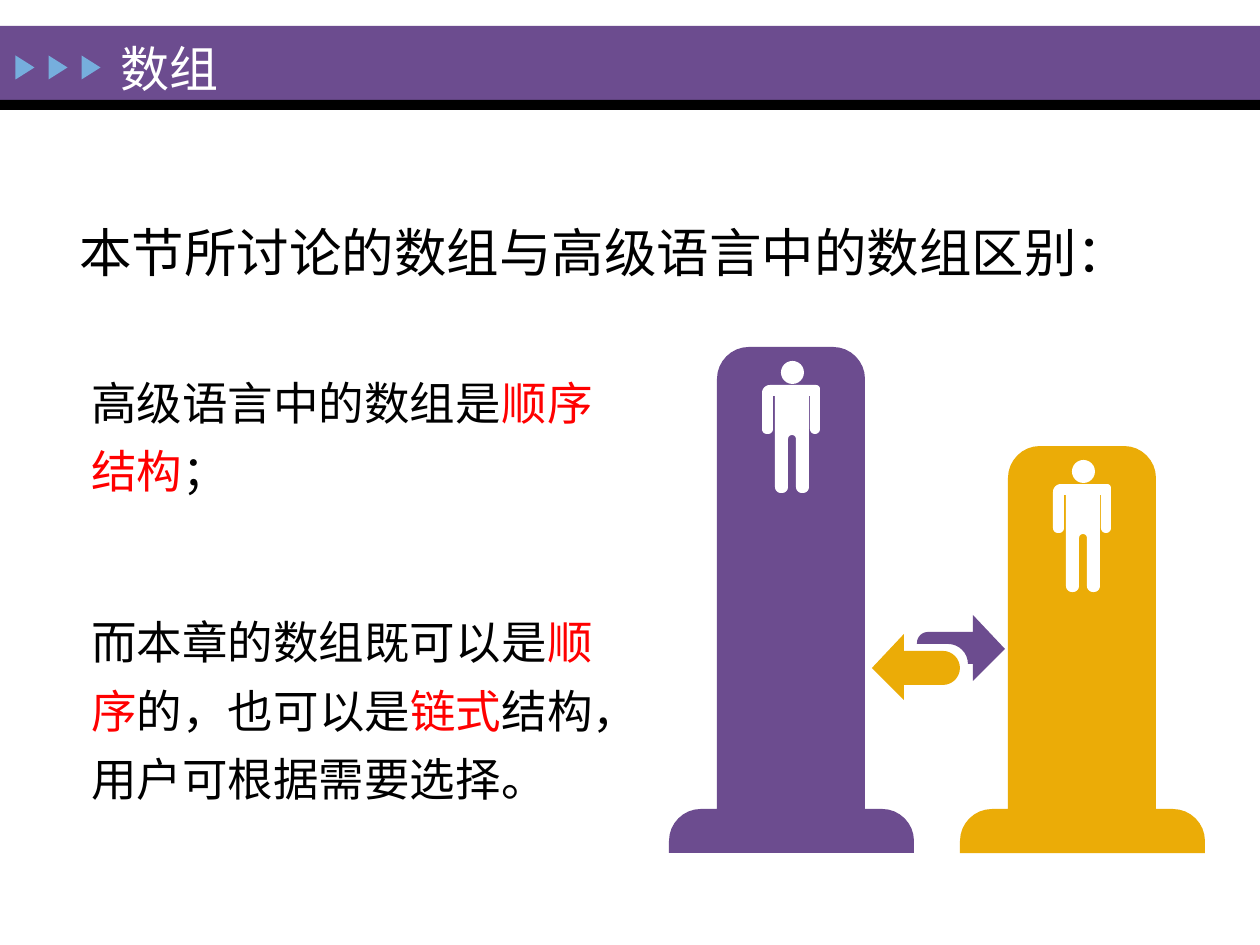
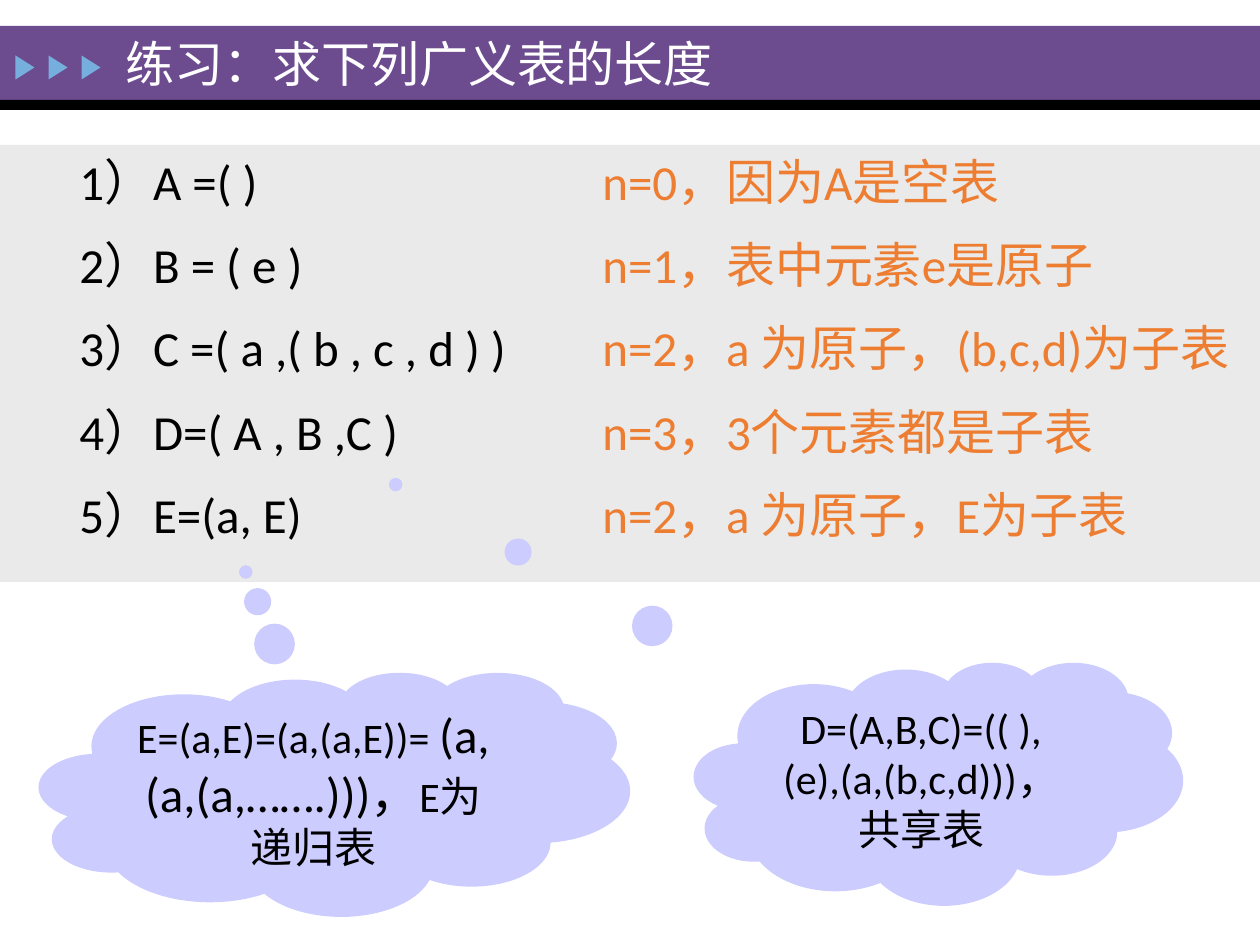
from pptx import Presentation
from pptx import util as u
from pptx.dml.color import RGBColor
from pptx.enum import shapes, text

EMU_PER_PX = 914400 / 126
PURPLE = RGBColor(0x6C, 0x4C, 0x8F)
GOLD = RGBColor(0xEB, 0xAC, 0x07)
BLUE = RGBColor(0x76, 0xAE, 0xDD)
LILAC = RGBColor(0xCC, 0xCC, 0xFF)
ORANGE = RGBColor(0xED, 0x7D, 0x31)
GREY = RGBColor(0xEA, 0xEA, 0xEA)
BLACK = RGBColor(0, 0, 0)
WHITE = RGBColor(0xFF, 0xFF, 0xFF)
RED = RGBColor(0xFF, 0, 0)
FONT = "Calibri"
ARC = 0.55
ARC_STEPS = 8
PERSON = [
    (0, 0, 8), (58, 0, 4), (58, 49, 5), (48, 49, 5), (48, 11), (47, 11),
    (47, 108, 6), (34, 108, 6), (34, 50, 4), (26, 50, 4), (26, 108, 6),
    (13, 108, 6), (13, 11), (11, 11), (11, 49, 5), (0, 49, 5),
]
LEFT_ARROW = [(872, 668), (904, 634), (904, 651), (960, 651, 17),
              (960, 685, 17), (904, 685), (904, 700)]
RIGHT_ARROW = [(917, 644), (917, 632, 11), (973, 632), (973, 615), (1005, 649),
               (973, 681), (973, 664), (968, 664), (968, 644, 20)]


def px(*lengths):
    """Turn pixel lengths into EMU."""
    return [u.Emu(round(length * EMU_PER_PX)) for length in lengths]


def set_all(target, values):
    """Set each named attribute on the target."""
    for name, value in values.items():
        setattr(target, name, value)


def paint(shape, color):
    """Give a shape a flat fill without line or shadow."""
    shape.shadow.inherit = False
    shape.fill.solid()
    shape.fill.fore_color.rgb = color
    shape.line.fill.background()
    return shape


def add_block(page, kind, place, color):
    """Add a flat preset shape."""
    return paint(page.shapes.add_shape(kind, *px(*place)), color)


def write(frame, paragraphs, size, color=BLACK, **layout):
    """Write paragraphs of (text, formats) spans with shared paragraph values."""
    frame.word_wrap = True
    for index, spans in enumerate(paragraphs):
        para = frame.paragraphs[0] if index == 0 else frame.add_paragraph()
        set_all(para, layout)
        for words, formats in spans:
            span = para.add_run()
            span.text = words
            values = {"name": FONT, "size": u.Pt(size), "color": color, **formats}
            span.font.color.rgb = values.pop("color")
            set_all(span.font, values)
    return frame.paragraphs


def add_text(page, place, paragraphs, size, color=BLACK, **layout):
    """Add a wrapping text box."""
    box = page.shapes.add_textbox(*px(*place))
    return write(box.text_frame, paragraphs, size, color, **layout)


def add_page(deck, title, left, top):
    """Add a slide and format its title."""
    page = deck.slides.add_slide(deck.slide_layouts[5])
    box = page.shapes.title
    set_all(box, dict(zip(("left", "top", "width", "height"), px(left, top, 968, 94))))
    set_all(box.text_frame, {"vertical_anchor": text.MSO_ANCHOR.MIDDLE,
                             "auto_size": text.MSO_AUTO_SIZE.NONE})
    write(box.text_frame, [[(title, {})]], 28, WHITE, alignment=text.PP_ALIGN.LEFT)
    return page


def share_header(page):
    """Draw the header band and move it to the layout that all slides use."""
    layout = page.slide_layout
    for holder in list(layout.placeholders):
        if holder.placeholder_format.type != shapes.PP_PLACEHOLDER.TITLE:
            layout.shapes.element.remove(holder.element)
    rectangle = shapes.MSO_SHAPE.RECTANGLE
    parts = [add_block(page, rectangle, (0, 26, 1260, 75), PURPLE),
             add_block(page, rectangle, (0, 100, 1260, 10), BLACK)]
    for index in range(3):
        place = (13 + 33 * index, 58, 24, 19)
        marker = add_block(page, shapes.MSO_SHAPE.ISOSCELES_TRIANGLE, place, BLUE)
        marker.rotation = 90
        parts.append(marker)
    for part in parts:
        layout.shapes.element.append(part.element)


def toward(corner, other, distance):
    """Find the point at a distance from a corner on the way to another."""
    dx, dy = other[0] - corner[0], other[1] - corner[1]
    share = distance / (dx * dx + dy * dy) ** 0.5
    return corner[0] + dx * share, corner[1] + dy * share


def round_corner(before, corner, after):
    """List the points of a corner, as an arc if it has a radius."""
    if len(corner) == 2:
        return [corner]
    radius = corner[2]
    pull = radius * (1 - ARC)
    controls = [toward(corner, before, radius), toward(corner, before, pull),
                toward(corner, after, pull), toward(corner, after, radius)]
    points = []
    for step in range(ARC_STEPS + 1):
        t = step / ARC_STEPS
        weights = ((1 - t) ** 3, 3 * t * (1 - t) ** 2, 3 * t * t * (1 - t), t ** 3)
        points.append(tuple(sum(w * c[axis] for w, c in zip(weights, controls))
                            for axis in (0, 1)))
    return points


def add_outline(page, corners, color, left=0, top=0):
    """Add a polygon whose corners are (x, y) or (x, y, radius)."""
    points = []
    for index, corner in enumerate(corners):
        after = corners[(index + 1) % len(corners)]
        points += round_corner(corners[index - 1], corner, after)
    points = [px(left + x, top + y) for x, y in points]
    builder = page.shapes.build_freeform(*points[0])
    builder.add_line_segments(points[1:], close=True)
    paint(builder.convert_to_shape(), color)


def add_tower(page, left, top, color):
    """Add a column on a wide foot with a person at its top."""
    foot, bottom = 809, 853
    corners = [(0, bottom), (0, foot, 32), (48, foot), (48, top, 32),
               (196, top, 32), (196, foot), (245, foot, 32), (245, bottom)]
    add_outline(page, corners, color, left)
    head = (left + 112, top + 14, 23, 23)
    add_block(page, shapes.MSO_SHAPE.OVAL, head, WHITE)
    add_outline(page, PERSON, WHITE, left + 93, top + 38)


def add_cloud(page, place, tail, spans):
    """Add a thought cloud whose bubbles lead to the tail point."""
    cloud = add_block(page, shapes.MSO_SHAPE.CLOUD_CALLOUT, place, LILAC)
    for index, value in enumerate(tail):
        cloud.adjustments[index] = value
    cloud.text_frame.vertical_anchor = text.MSO_ANCHOR.MIDDLE
    write(cloud.text_frame, [spans], 24, alignment=text.PP_ALIGN.CENTER)


def add_list(page, place, lines, color):
    """Add a column of lines half a line apart."""
    paras = add_text(page, place, [[(line, {})] for line in lines], 28, color,
                     space_before=u.Pt(14))
    paras[0].space_before = u.Pt(0)


def build_arrays(page):
    """Compare the two kinds of array."""
    red = {"color": RED}
    add_text(page, (67, 198, 1072, 84),
             [[("本节所讨论的数组与高级语言中的数组区别：", {})]], 30, line_spacing=1.25)
    paras = add_text(page, (79, 355, 568, 461), [
        [("高级语言中的数组是", {}), ("顺序结构", red), ("；", {})],
        [("而本章的数组既可以是", {}), ("顺序", red), ("的，也可以是", {}),
         ("链式", red), ("结构，用户可根据需要选择。", {})],
    ], 26, line_spacing=1.25, space_before=u.Pt(10))
    paras[1].space_before = u.Pt(59)
    add_tower(page, 669, 347, PURPLE)
    add_tower(page, 960, 446, GOLD)
    add_outline(page, LEFT_ARROW, GOLD)
    add_outline(page, RIGHT_ARROW, PURPLE)


def build_exercise(page):
    """List the generalized lists, their lengths and two remarks."""
    add_block(page, shapes.MSO_SHAPE.RECTANGLE, (0, 145, 1260, 437), GREY)
    add_cloud(page, (39, 672, 591, 244), (-0.15, -0.91), [
        ("E=(a,E)=(a,(a,E))= ", {}), ("(a,(a,(a,…….)))，", {"size": u.Pt(28)}),
        ("E为递归表", {})])
    add_list(page, (67, 145, 494, 425), [
        "1）A =( )", "2）B = ( e )", "3）C =( a ,( b , c , d ) )",
        "4）D=( A , B ,C )", "5）E=(a, E)"], BLACK)
    add_list(page, (590, 145, 669, 425), [
        "n=0，因为A是空表", "n=1，表中元素e是原子", "n=2，a 为原子，(b,c,d)为子表",
        "n=3，3个元素都是子表", "n=2，a 为原子，E为子表"], ORANGE)
    add_cloud(page, (694, 662, 489, 243), (-1.11, -1.23),
              [("D=(A,B,C)=(( ),(e),(a,(b,c,d)))，共享表", {})])


def main():
    """Build and save the deck."""
    deck = Presentation()
    deck.slide_width, deck.slide_height = px(1260, 945)
    arrays = add_page(deck, "数组", 108, 21)
    share_header(arrays)
    build_arrays(arrays)
    build_exercise(add_page(deck, "练习：求下列广义表的长度", 113, 16))
    deck.save("out.pptx")


if __name__ == "__main__":
    main()
